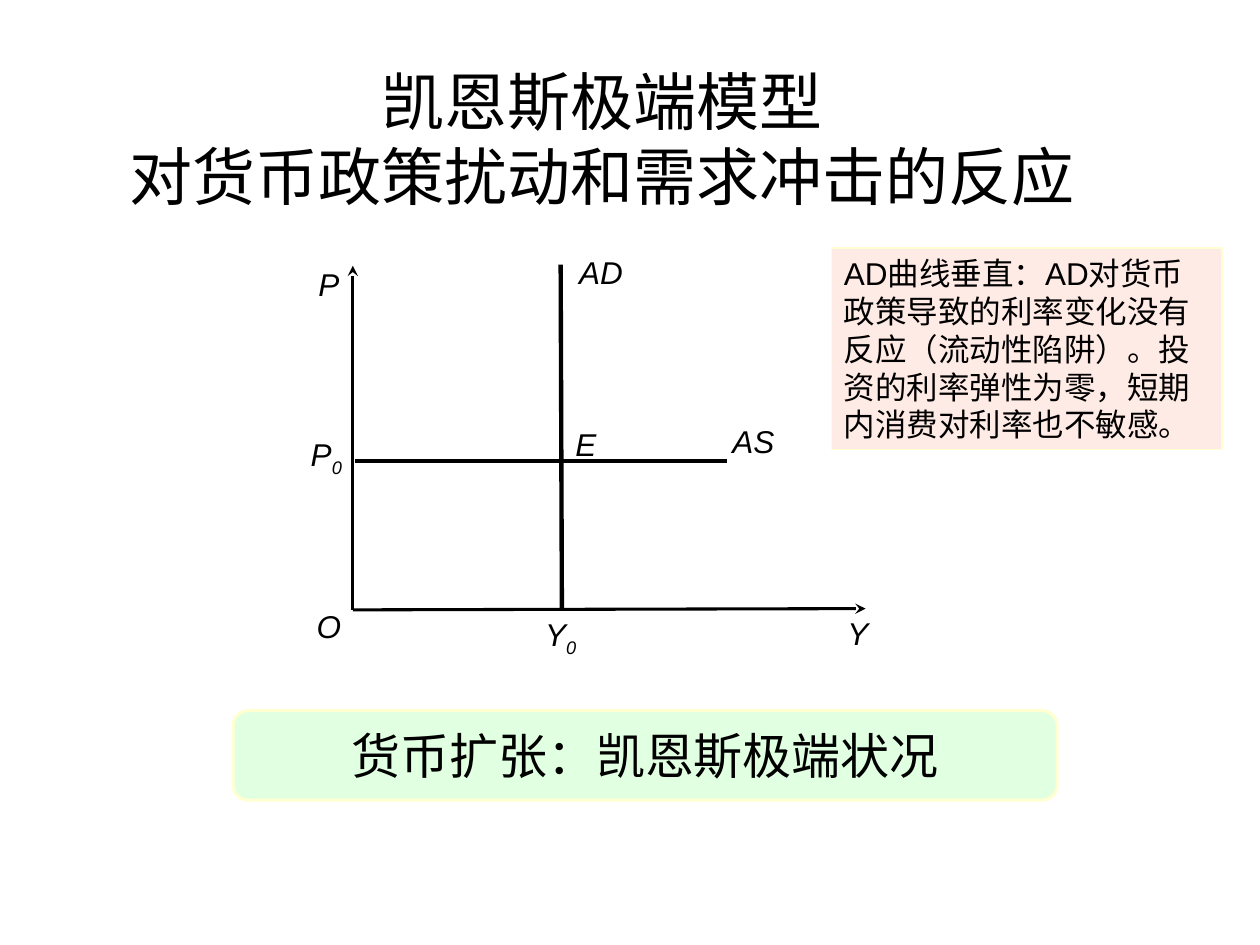
from dataclasses import dataclass

from lxml import etree
from pptx import Presentation
from pptx.dml.color import RGBColor
from pptx.enum.shapes import MSO_CONNECTOR, MSO_SHAPE
from pptx.enum.text import MSO_ANCHOR, MSO_AUTO_SIZE, PP_ALIGN
from pptx.oxml.ns import qn
from pptx.util import Pt

STRAIGHT = MSO_CONNECTOR.STRAIGHT
RECT, ROUND = MSO_SHAPE.RECTANGLE, MSO_SHAPE.ROUNDED_RECTANGLE
TOP, MIDDLE = MSO_ANCHOR.TOP, MSO_ANCHOR.MIDDLE
LEFT, CENTER = PP_ALIGN.LEFT, PP_ALIGN.CENTER
NO_FIT, GROW = MSO_AUTO_SIZE.NONE, MSO_AUTO_SIZE.SHAPE_TO_FIT_TEXT


@dataclass(frozen=True)
class Theme:
    font: str = "Arial"
    ink: str = "000000"
    edge: str = "FFFFD1"
    green: str = "E1FFE1"
    pink: str = "FFEBE5"
    title: int = 36
    banner: int = 28
    text: int = 18


@dataclass(frozen=True)
class Label:
    x: float
    y: float
    name: str
    sub: str = ""


@dataclass(frozen=True)
class Line:
    x1: float
    y1: float
    x2: float
    y2: float
    width: float
    arrow: bool = False


@dataclass(frozen=True)
class Panel:
    x: float
    y: float
    w: float
    h: float
    kind: int
    fill: str
    edge: float
    text: str
    size: int
    note: bool = False


THEME = Theme()
LABEL_W, LABEL_H = 30.2, 27.4
ZERO_X, ZERO_Y = 201.6, 348.5

LABELS = [
    Label(305.3, 349.9, "Y", "0"),
    Label(172.8, 344.2, "O"),
    Label(171.4, 247, "P", "0"),
    Label(172.8, 148.3, "P"),
    Label(415.4, 238.3, "AS"),
    Label(328.3, 141.8, "AD"),
    Label(319.7, 239.8, "E"),
    Label(475.2, 347.8, "Y"),
]
LINES = [
    Line(ZERO_X, ZERO_Y, 494.6, 347.8, 1.75, True),
    Line(ZERO_X, ZERO_Y, ZERO_X, 151.9, 1.75, True),
    Line(320.4, 151.2, 321.1, 347.8, 2.5),
    Line(203, 263.5, 415.4, 263.5, 2),
]
PANELS = [
    Panel(133.2, 406.1, 470.9, 51.1, ROUND, THEME.green, 1.75,
          "货币扩张：凯恩斯极端状况", THEME.banner),
    Panel(475.2, 141.8, 223.2, 115.2, RECT, THEME.pink, 0.75,
          "AD曲线垂直：AD对货币政策导致的利率变化没有反应（流动性陷阱）。"
          "投资的利率弹性为零，短期内消费对利率也不敏感。", THEME.text, True),
]


def color(code: str) -> RGBColor:
    return RGBColor.from_string(code)


def add_run(para, text: str, size: int, slant: bool = False):
    run = para.add_run()
    run.text = text
    font = run.font
    font.name, font.size, font.italic = THEME.font, Pt(size), slant
    font.color.rgb = color(THEME.ink)
    return run


def add_box(slide, kind: int, x: float, y: float, w: float, h: float):
    box = slide.shapes.add_shape(kind, Pt(x), Pt(y), Pt(w), Pt(h))
    box.shadow.inherit = False
    frame = box.text_frame
    frame.word_wrap = False
    frame.vertical_anchor = MIDDLE
    frame.paragraphs[0].alignment = CENTER
    return box


def draw_label(slide, label: Label) -> None:
    box = add_box(slide, ROUND, label.x, label.y, LABEL_W, LABEL_H)
    box.fill.background()
    box.line.fill.background()
    para = box.text_frame.paragraphs[0]
    add_run(para, label.name, THEME.text, True)
    if label.sub:
        run = add_run(para, label.sub, THEME.text, True)
        run.font._element.set("baseline", "-25000")


def draw_line(slide, line: Line) -> None:
    link = slide.shapes.add_connector(
        STRAIGHT, Pt(line.x1), Pt(line.y1), Pt(line.x2), Pt(line.y2))
    link.line.color.rgb = color(THEME.ink)
    link.line.width = Pt(line.width)
    props = link._element.spPr
    if line.arrow:
        etree.SubElement(props.find(qn("a:ln")), qn("a:tailEnd"), type="stealth")
    etree.SubElement(props, qn("a:effectLst"))


def draw_panel(slide, panel: Panel) -> None:
    box = add_box(slide, panel.kind, panel.x, panel.y, panel.w, panel.h)
    box.fill.solid()
    box.fill.fore_color.rgb = color(panel.fill)
    box.line.color.rgb = color(THEME.edge)
    box.line.width = Pt(panel.edge)
    frame = box.text_frame
    para = frame.paragraphs[0]
    if panel.note:
        frame.word_wrap = True
        frame.auto_size = GROW
        frame.vertical_anchor = TOP
        para.alignment = LEFT
    add_run(para, panel.text, panel.size)


def draw_title(slide) -> None:
    title = slide.shapes.title
    title.left, title.top = Pt(20.2), Pt(65.5)
    title.width, title.height = Pt(648), Pt(67.7)
    frame = title.text_frame
    frame.auto_size = NO_FIT
    frame.vertical_anchor = MIDDLE
    frame.margin_bottom = Pt(45)
    para = frame.paragraphs[0]
    para.alignment = CENTER
    add_run(para, "凯恩斯极端模型", THEME.title)
    para.add_line_break()
    add_run(para, "对货币政策扰动和需求冲击的反应", THEME.title)


def main() -> None:
    deck = Presentation()
    deck.slide_width, deck.slide_height = Pt(720), Pt(540)
    slide = deck.slides.add_slide(deck.slide_layouts[5])
    draw_title(slide)
    for line in LINES:
        draw_line(slide, line)
    for label in LABELS:
        draw_label(slide, label)
    for panel in PANELS:
        draw_panel(slide, panel)
    deck.save("out.pptx")


if __name__ == "__main__":
    main()
